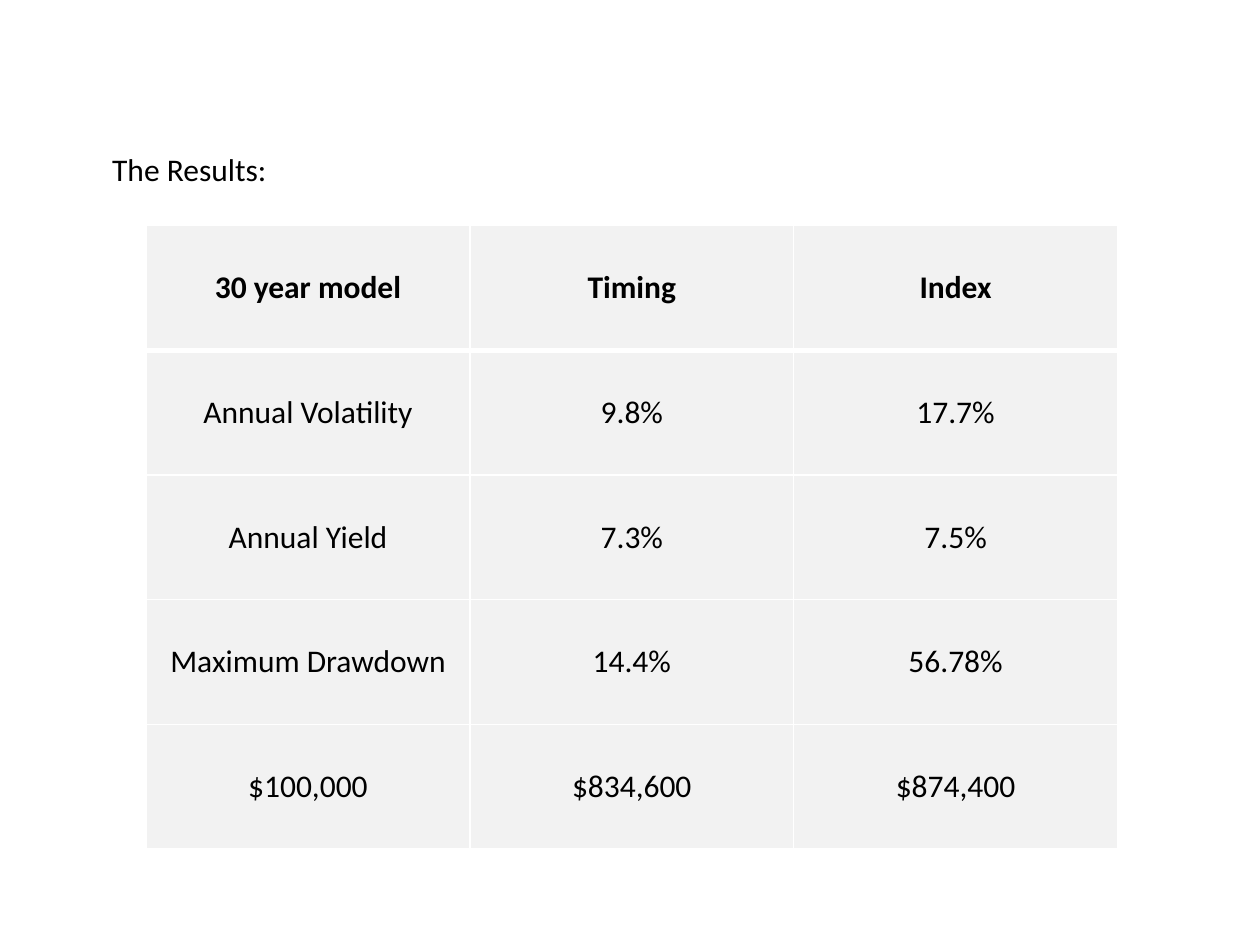
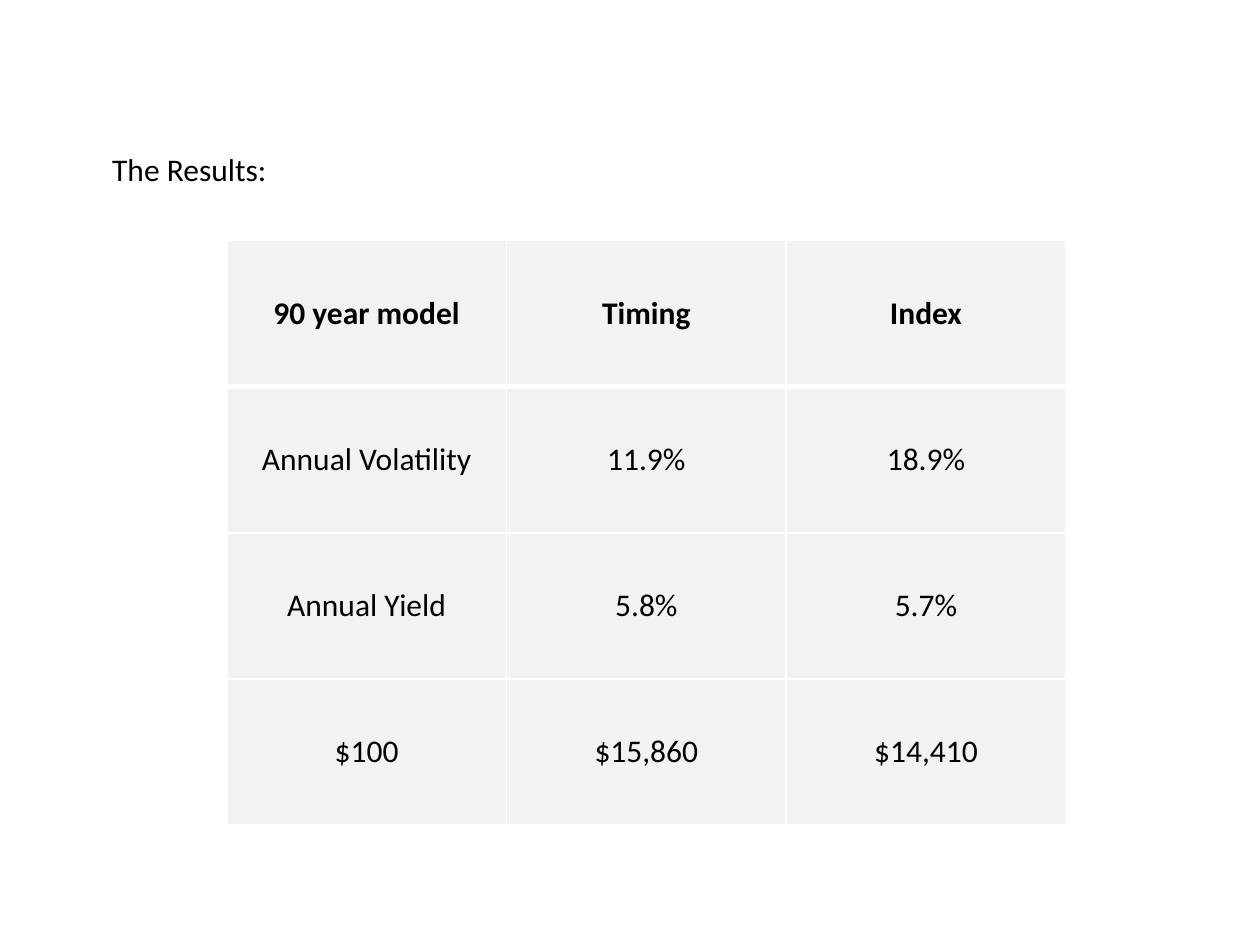
from lxml.etree import SubElement
from pptx import Presentation
from pptx.dml.color import RGBColor
from pptx.enum.text import MSO_ANCHOR as Anchor, MSO_AUTO_SIZE as AutoSize, PP_ALIGN as Align
from pptx.oxml.ns import qn
from pptx.util import Inches, Pt

FONT = "Calibri"
TEXT_SIZE = 18
BLACK = "000000"
WHITE = "FFFFFF"
CELL_GREY = "F2F2F2"
TITLE_ONLY = 5

RESULTS = [
    {
        "left": 1.16, "top": 1.79, "column_width": 2.57, "row_height": 0.99,
        "rows": [
            ("30 year model", "Timing", "Index"),
            ("Annual Volatility", "9.8%", "17.7%"),
            ("Annual Yield", "7.3%", "7.5%"),
            ("Maximum Drawdown", "14.4%", "56.78%"),
            ("$100,000", "$834,600", "$874,400"),
        ],
    },
    {
        "left": 1.8, "top": 1.91, "column_width": 2.22, "row_height": 1.16,
        "rows": [
            ("90 year model", "Timing", "Index"),
            ("Annual Volatility", "11.9%", "18.9%"),
            ("Annual Yield", "5.8%", "5.7%"),
            ("$100", "$15,860", "$14,410"),
        ],
    },
]


def color(value):
    return RGBColor.from_string(value)


def write(frame, text, align, bold=False):
    frame.text = text
    paragraph = frame.paragraphs[0]
    paragraph.alignment = align
    font = paragraph.runs[0].font
    font.name = FONT
    font.size = Pt(TEXT_SIZE)
    font.bold = bold
    font.color.rgb = color(BLACK)


def add_heading(slide, text):
    heading = slide.shapes.title
    heading.left, heading.top = Inches(0.79), Inches(1.14)
    heading.width, heading.height = Inches(8.24), Inches(1.01)
    frame = heading.text_frame
    write(frame, text, Align.LEFT)
    frame.word_wrap = True
    frame.auto_size = AutoSize.NONE
    frame.vertical_anchor = Anchor.TOP


def add_borders(cell, top, bottom):
    properties = cell._tc.get_or_add_tcPr()
    for side, width in (("L", 1), ("R", 1), ("T", top), ("B", bottom)):
        border = SubElement(properties, qn(f"a:ln{side}"), w=str(Pt(width)))
        fill = SubElement(border, qn("a:solidFill"))
        SubElement(fill, qn("a:srgbClr"), val=WHITE)


def format_cell(cell, text, row_index):
    is_header = row_index == 0
    write(cell.text_frame, text, Align.CENTER, bold=is_header)
    cell.vertical_anchor = Anchor.MIDDLE
    add_borders(cell, top=3 if row_index == 1 else 1, bottom=3 if is_header else 1)
    cell.fill.solid()
    cell.fill.fore_color.rgb = color(CELL_GREY)


def add_results(slide, left, top, column_width, row_height, rows):
    row_count, column_count = len(rows), len(rows[0])
    results = slide.shapes.add_table(
        row_count, column_count, Inches(left), Inches(top),
        Inches(column_width * column_count), Inches(row_height * row_count),
    ).table
    for column in results.columns:
        column.width = Inches(column_width)
    for row_index, values in enumerate(rows):
        results.rows[row_index].height = Inches(row_height)
        for column_index, value in enumerate(values):
            format_cell(results.cell(row_index, column_index), value, row_index)


def main():
    deck = Presentation()
    deck.slide_width, deck.slide_height = Inches(10), Inches(7.5)
    for model in RESULTS:
        slide = deck.slides.add_slide(deck.slide_layouts[TITLE_ONLY])
        add_heading(slide, "The Results:")
        add_results(slide, **model)
    deck.save("out.pptx")


main()
